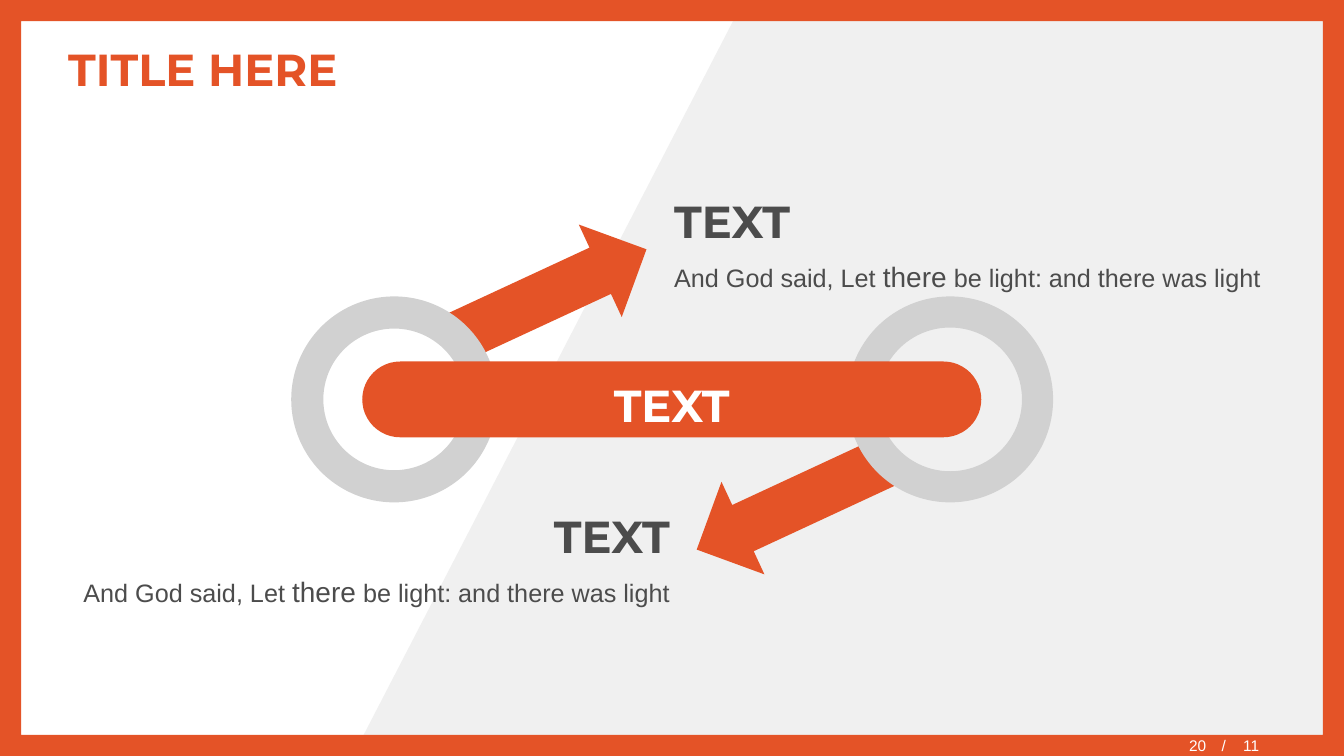
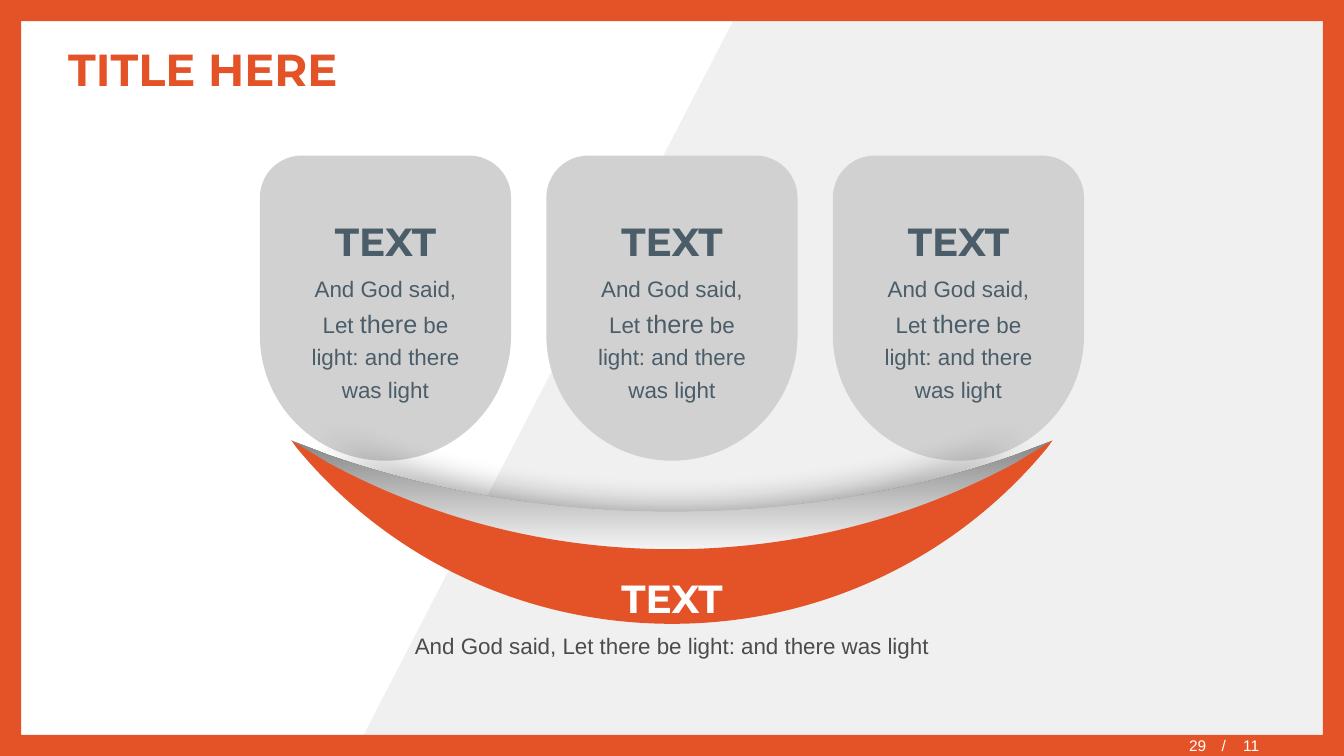
from dataclasses import dataclass
from typing import NamedTuple

from lxml.etree import SubElement
from pptx import Presentation
from pptx.dml.color import RGBColor
from pptx.enum.shapes import MSO_SHAPE
from pptx.enum.text import MSO_ANCHOR, PP_ALIGN
from pptx.oxml.ns import qn
from pptx.shapes.autoshape import Shape
from pptx.slide import Slide
from pptx.util import Cm, Pt


@dataclass(frozen=True)
class Theme:
    orange: str = "E45327"
    white: str = "FFFFFF"
    pale: str = "F0F0F0"
    silver: str = "D1D1D1"
    dark: str = "4C4C4C"
    slate: str = "4A5D69"
    shade: str = "858585"
    black: str = "000000"
    head: str = "Montserrat"
    body: str = "Arial"
    big: int = 32
    mid: int = 28
    note: int = 18
    small: int = 16
    foot: int = 11
    boost: int = 2


class Box(NamedTuple):
    left: float
    top: float
    wide: float
    high: float


class Run(NamedTuple):
    text: str
    size: int
    color: str
    face: str
    bold: bool = False


class Arrow(NamedTuple):
    left: float
    top: float
    turn: float


class Ring(NamedTuple):
    left: float
    hole: float


class Block(NamedTuple):
    left: float
    top: float
    align: PP_ALIGN


class Moon(NamedTuple):
    edge: float
    bend: float
    base: float
    crest: float
    curve: float
    rim: float


Point = tuple[float, float]
Lines = list[list[Run]]

THEME = Theme()
WIDE, HIGH = 33.87, 19.05
MID = WIDE / 2
TIP = (9.59, 11.1)
BENDS = (1, 4, 9, 12)
VERSE = ("And God said, Let ", "there", " be light: and there was light")

ARROWS = [Arrow(12.59, 4.74, 65.1), Arrow(18.69, 10.06, 245.1)]
RINGS = [Ring(7.34, 0.156), Ring(21.35, 0.151)]
BLOCKS = [
    Block(16.74, 4.48, PP_ALIGN.LEFT),
    Block(1.46, 12.42, PP_ALIGN.RIGHT),
]
GRAY_MOON = Moon(11.2, 12.98, 14.12, 12.9, 12.37, 11.46)
RED_MOON = Moon(11.28, 14.0, 15.72, 13.84, 13.06, 11.66)


def rgb(color: str) -> RGBColor:
    return RGBColor.from_string(color)


def paint(shape: Shape, color: str) -> None:
    shape.shadow.inherit = False
    shape.line.fill.background()
    shape.fill.solid()
    shape.fill.fore_color.rgb = rgb(color)


def draw(slide: Slide, kind: MSO_SHAPE, box: Box, color: str, *adjust: float) -> Shape:
    shape = slide.shapes.add_shape(kind, *map(Cm, box))
    for i, value in enumerate(adjust):
        shape.adjustments[i] = value
    paint(shape, color)
    return shape


def trace(slide: Slide, points: list[Point], color: str) -> Shape:
    first, *rest = [(Cm(x), Cm(y)) for x, y in points]
    pen = slide.shapes.build_freeform(*first)
    pen.add_line_segments(rest, close=True)
    shape = pen.convert_to_shape()
    paint(shape, color)
    return shape


def write(shape: Shape, lines: Lines, align: PP_ALIGN, anchor: MSO_ANCHOR, loose: bool = True) -> None:
    frame = shape.text_frame
    frame.word_wrap = True
    frame.vertical_anchor = anchor
    for i, runs in enumerate(lines):
        para = frame.add_paragraph() if i else frame.paragraphs[0]
        para.alignment = align
        if loose:
            para.line_spacing = 1.2
            para.space_after = Pt(2)
            if i:
                para.space_before = Pt(2)
        for run in runs:
            part = para.add_run()
            part.text = run.text
            font = part.font
            font.size = Pt(run.size)
            font.name = run.face
            font.bold = run.bold
            font.color.rgb = rgb(run.color)


def label(slide: Slide, box: Box, lines: Lines, align: PP_ALIGN = PP_ALIGN.LEFT,
          anchor: MSO_ANCHOR = MSO_ANCHOR.TOP, loose: bool = True) -> Shape:
    shape = slide.shapes.add_textbox(*map(Cm, box))
    write(shape, lines, align, anchor, loose)
    return shape


def head(text: str, size: int, color: str) -> list[Run]:
    return [Run(text, size, color, THEME.head, True)]


def verse(size: int, color: str) -> list[Run]:
    sizes = (size, size + THEME.boost, size)
    return [Run(text, pt, color, THEME.body) for text, pt in zip(VERSE, sizes)]


def foot(slide: Slide, text: str, box: Box, align: PP_ALIGN) -> Shape:
    run = Run(text, THEME.foot, THEME.white, THEME.body)
    return label(slide, box, [[run]], align, MSO_ANCHOR.MIDDLE, False)


def start(deck: Presentation, page: str) -> Slide:
    slide = deck.slides.add_slide(deck.slide_layouts[6])
    trace(slide, [(18.75, 0), (WIDE, 0), (WIDE, HIGH), (8.89, HIGH)], THEME.pale)
    draw(slide, MSO_SHAPE.FRAME, Box(0, 0, WIDE, HIGH), THEME.orange, 0.028)
    label(slide, Box(1.47, 0.73, 30.94, 2.01),
          [head("TITLE HERE", THEME.big, THEME.orange)],
          anchor=MSO_ANCHOR.MIDDLE, loose=False)
    total = foot(slide, "/\t11", Box(30.54, 18.56, 3.33, 0.46), PP_ALIGN.LEFT)
    props = total.text_frame.paragraphs[0]._p.get_or_add_pPr()
    tabs = SubElement(props, qn("a:tabLst"))
    SubElement(tabs, qn("a:tab"), pos=str(Cm(0.54)), algn="l")
    count = foot(slide, page, Box(24.07, 18.61, 6.58, 0.46), PP_ALIGN.RIGHT)
    count.text_frame.margin_top = 0
    return slide


def flip(points: list[Point]) -> list[Point]:
    return [(-x, y) for x, y in reversed(points)]


def crescent(slide: Slide, moon: Moon, color: str) -> Shape:
    low = [TIP, (9.46, moon.edge), (7.22, moon.bend), (3.82, moon.base), (0, moon.base)]
    top = [(0, moon.crest), (3.13, moon.crest), (6.08, moon.curve), (8.67, moon.rim)]
    ring = low + flip(low)[1:] + flip(top) + top[1:]
    shape = trace(slide, [(MID + x, y) for x, y in ring], color)
    lines = list(shape._element.iter(qn("a:lnTo")))
    for i in BENDS:
        curve = lines[i].makeelement(qn("a:cubicBezTo"))
        lines[i].addprevious(curve)
        for line in lines[i:i + 3]:
            curve.append(line[0])
            line.getparent().remove(line)
    return shape


def shade(shape: Shape) -> None:
    fill = shape.fill
    fill.gradient()
    fill.gradient_angle = 270
    for stop, color in zip(fill.gradient_stops, (THEME.shade, THEME.white)):
        stop.color.rgb = rgb(color)
    glow = SubElement(shape._element.spPr.find(qn("a:effectLst")), qn("a:outerShdw"),
                      blurRad=str(Pt(24)), dist="0", dir="0", sx="90000", sy="90000",
                      algn="ctr", rotWithShape="0")
    tint = SubElement(glow, qn("a:srgbClr"), val=THEME.black)
    SubElement(tint, qn("a:alpha"), val="44000")


def link_slide(deck: Presentation) -> None:
    slide = start(deck, "20")
    for arrow in ARROWS:
        shape = draw(slide, MSO_SHAPE.UP_ARROW,
                     Box(arrow.left, arrow.top, 2.57, 5.33), THEME.orange)
        shape.rotation = arrow.turn
    for ring in RINGS:
        draw(slide, MSO_SHAPE.DONUT, Box(ring.left, 7.47, 5.19, 5.19), THEME.silver, ring.hole)
    bar = draw(slide, MSO_SHAPE.ROUNDED_RECTANGLE,
               Box(9.13, 9.11, 15.6, 1.91), THEME.orange, 0.5)
    write(bar, [head("TEXT", THEME.big, THEME.white)], PP_ALIGN.CENTER, MSO_ANCHOR.MIDDLE)
    for block in BLOCKS:
        lines = [head("TEXT", THEME.big, THEME.dark), verse(THEME.note, THEME.dark)]
        label(slide, Box(block.left, block.top, 15.67, 3.07), lines, block.align)


def smile_slide(deck: Presentation) -> None:
    slide = start(deck, "29")
    wide, step = 6.33, 7.22
    for i in (0, 2, 1):
        left = MID + (i - 1) * step - wide / 2
        card = draw(slide, MSO_SHAPE.ROUND_2_SAME_RECTANGLE,
                    Box(left, 3.92, wide, 7.69), THEME.silver, 0.167, 0.5)
        card.text_frame.margin_top = Cm(1)
        lines = [head("TEXT", THEME.mid, THEME.slate), verse(THEME.small, THEME.slate)]
        write(card, lines, PP_ALIGN.CENTER, MSO_ANCHOR.TOP)
    shade(crescent(slide, GRAY_MOON, THEME.shade))
    crescent(slide, RED_MOON, THEME.orange)
    line = [Run("".join(VERSE), THEME.small, THEME.dark, THEME.body)]
    label(slide, Box(MID - 7.62, 14.1, 15.24, 2.67),
          [head("TEXT", THEME.mid, THEME.white), line], PP_ALIGN.CENTER)


def main() -> None:
    deck = Presentation()
    deck.slide_width, deck.slide_height = Cm(WIDE), Cm(HIGH)
    link_slide(deck)
    smile_slide(deck)
    deck.save("out.pptx")


if __name__ == "__main__":
    main()
